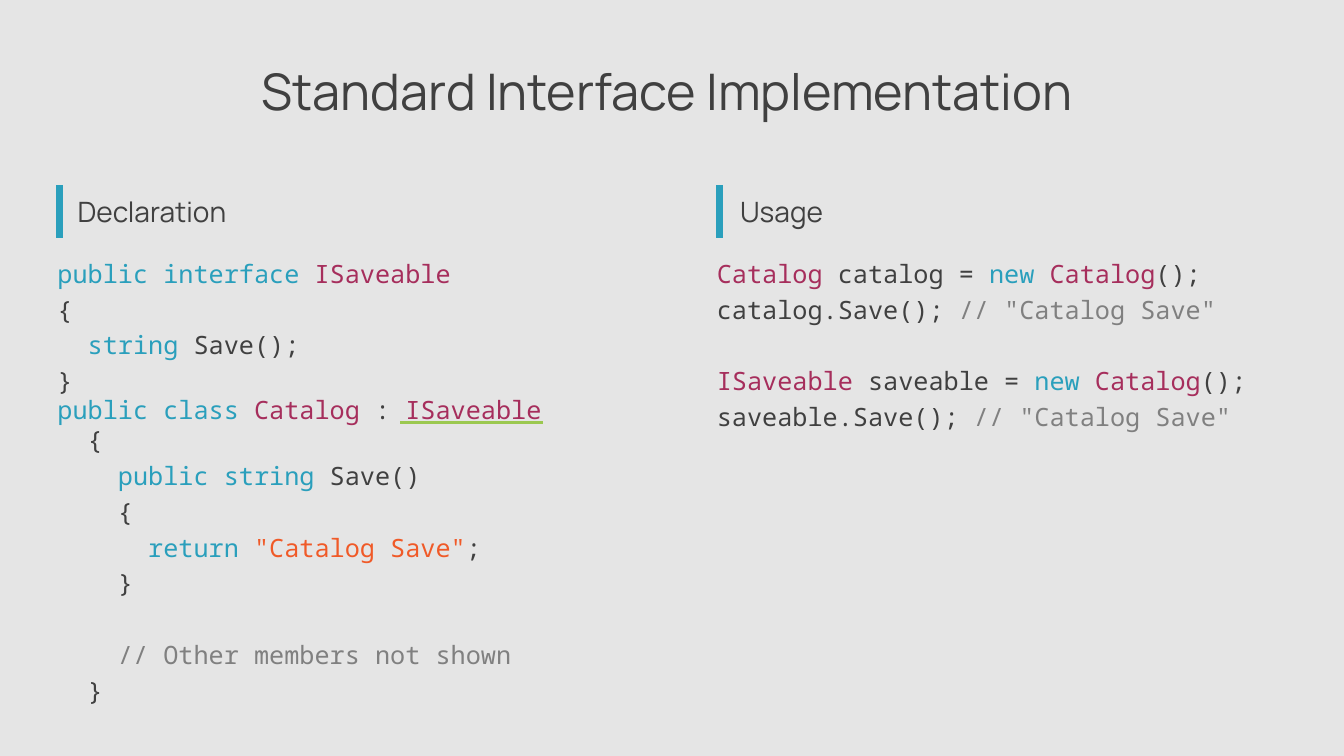
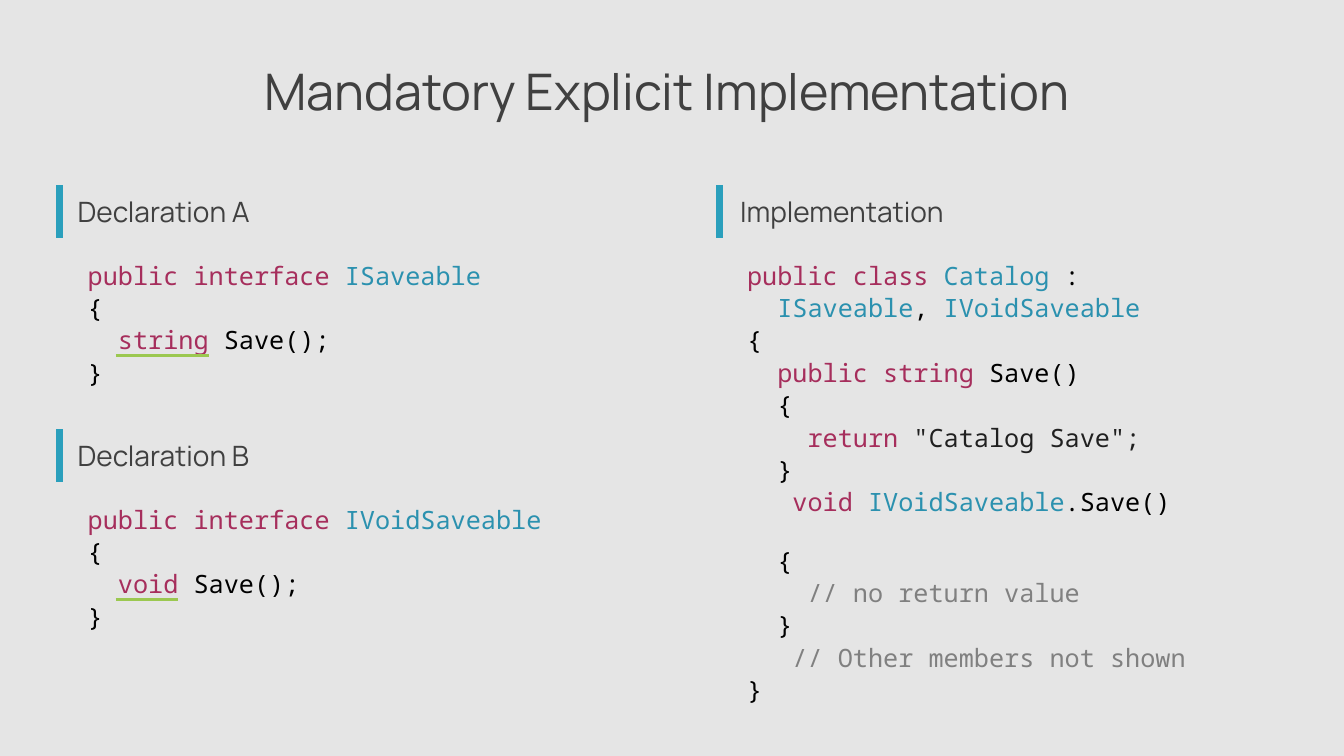
from dataclasses import dataclass

from lxml.etree import SubElement
from pptx import Presentation
from pptx.dml.color import RGBColor
from pptx.enum.shapes import MSO_CONNECTOR
from pptx.enum.text import MSO_ANCHOR, PP_ALIGN
from pptx.oxml.ns import qn
from pptx.util import Inches, Pt

HEADING_FONT, CODE_FONT = "Manrope", "Noto Sans Mono"
BACKGROUND, BLUE, GREEN = "E5E5E5", "2A9FBC", "9BC850"
TEAL, PLUM, ORANGE = "2B91AF", "A62E5C", "F05A28"
DARK, INK, GREY, BLACK = "404040", "202020", "808080", "000000"
CODE_SIZE = 18
CHAR = 0.15  # width of one code character, inches
BAR_HEIGHT = 0.52
CODE_DROP = 0.72  # from top of heading to top of code


@dataclass
class Column:
    """Left edges of the parts in a column, and its code width."""
    code: float
    label: float
    bar: float
    width: float


LEFT = Column(0.57, 0.57, 0.59, 5.98)
RIGHT = Column(7.11, 7.14, 7.14, 5.66)


@dataclass
class Line:
    """A line of code: indent in characters, runs, own space before in points."""
    indent: int
    runs: list
    before: float = None


def rgb(value):
    """Turn a hex string into a colour."""
    return RGBColor.from_string(value)


def add_text_box(s, x, y, w, h, insets=(0, 0, 0, 0), anchor=MSO_ANCHOR.TOP):
    """Add a wrapping text box and return its text frame."""
    tf = s.shapes.add_textbox(Inches(x), Inches(y), Inches(w), Inches(h)).text_frame
    tf.word_wrap = True
    tf.vertical_anchor = anchor
    tf.margin_left, tf.margin_top, tf.margin_right, tf.margin_bottom = map(Inches, insets)
    return tf


def add_run(p, text, font, size, color):
    """Add one styled run to a paragraph."""
    r = p.add_run()
    r.text = text
    r.font.name, r.font.size = font, Pt(size)
    r.font.color.rgb = rgb(color)


def add_line(s, x1, y1, x2, y2, color, width):
    """Draw a straight line without a shadow."""
    sp = s.shapes.add_connector(MSO_CONNECTOR.STRAIGHT, Inches(x1), Inches(y1),
                                Inches(x2), Inches(y2))
    sp.line.color.rgb = rgb(color)
    sp.line.width = Pt(width)
    SubElement(sp._element.spPr, qn("a:effectLst"))


def add_underline(s, x, y, w):
    """Mark a word in the code with a green line."""
    add_line(s, x, y, x + w, y, GREEN, 2)


def add_title(s, text):
    """Add the centred slide title."""
    p = add_text_box(s, 0.77, 0.64, 11.79, 0.48, (0, 0.05, 0.1, 0.05)).paragraphs[0]
    p.alignment = PP_ALIGN.CENTER
    p.line_spacing = 0.85
    add_run(p, text, HEADING_FONT, 36, DARK)


def add_heading(s, col, y, text):
    """Add a section heading with the blue bar at its left."""
    tf = add_text_box(s, col.label, y, 2.8, BAR_HEIGHT, (0.2,) * 4, MSO_ANCHOR.MIDDLE)
    p = tf.paragraphs[0]
    p.space_before = Pt(6)
    add_run(p, text, HEADING_FONT, 20, DARK)
    add_line(s, col.bar, y, col.bar, y + BAR_HEIGHT, BLUE, 5)


def add_code(s, col, y, h, lines, before=0, spacing=1.0):
    """Add a block of code, one paragraph per line."""
    tf = add_text_box(s, col.code, y, col.width, h)
    for i, line in enumerate(lines):
        p = tf.add_paragraph() if i else tf.paragraphs[0]
        p.space_before = Pt(before if line.before is None else line.before)
        p.line_spacing = spacing
        pPr = p._p.get_or_add_pPr()
        pPr.set("marL", str(Inches(line.indent * CHAR)))
        pPr.set("indent", "0")
        for text, color in line.runs:
            add_run(p, text, CODE_FONT, CODE_SIZE, color)


def interface_lines(name, result):
    """Return the code of an interface with one Save method."""
    return [
        Line(2, [("public interface ", PLUM), (name, TEAL)]),
        Line(2, [("{", BLACK)]),
        Line(4, [(result, PLUM), (" Save();", BLACK)]),
        Line(2, [("}", BLACK)]),
    ]


def add_interface(s, y, heading, name, result):
    """Add a declaration section with the return type underlined."""
    add_heading(s, LEFT, y, heading)
    top = y + CODE_DROP
    add_code(s, LEFT, top, 1.4, interface_lines(name, result), spacing=1.07)
    add_underline(s, LEFT.code + 4 * CHAR - 0.02, top + 0.97, len(result) * CHAR + 0.02)


def new_slide(prs, title):
    """Add a blank slide with its title."""
    s = prs.slides.add_slide(prs.slide_layouts[6])
    add_title(s, title)
    return s


def standard_slide(prs, y=1.84):
    """Build the slide on standard implementation."""
    s = new_slide(prs, "Standard Interface Implementation")
    top = y + CODE_DROP
    add_heading(s, LEFT, y, "Declaration")
    add_code(s, LEFT, top, 1.63, [
        Line(0, [("public interface ", BLUE), ("ISaveable", PLUM)]),
        Line(0, [("{", DARK)]),
        Line(2, [("string", BLUE), (" Save();", DARK)]),
        Line(0, [("}", DARK)]),
    ], before=4)
    add_code(s, LEFT, top + 1.35, 3.2, [
        Line(0, [("public class ", BLUE), ("Catalog", PLUM), (" : ", DARK),
                 ("ISaveable", PLUM)]),
        Line(2, [("{", DARK)], before=0),
        Line(4, [("public string", BLUE), (" Save()", DARK)]),
        Line(4, [("{", DARK)]),
        Line(6, [("return ", BLUE), ('"Catalog Save"', ORANGE), (";", DARK)]),
        Line(4, [("}", DARK)]),
        Line(4, [("// Other members not shown", GREY)], before=29.6),
        Line(2, [("}", DARK)]),
    ], before=4)
    add_underline(s, LEFT.code + 3.4, top + 1.63, 1.42)

    add_heading(s, RIGHT, y, "Usage")
    usage = []
    for kind, name, gap in (("Catalog", "catalog", None), ("ISaveable", "saveable", 29.6)):
        usage += [
            Line(0, [(kind + " ", PLUM), (name + " = ", DARK), ("new ", BLUE),
                     ("Catalog", PLUM), ("();", DARK)], before=gap),
            Line(0, [(name + ".Save(); ", DARK), ('// "Catalog Save"', GREY)]),
        ]
    add_code(s, RIGHT, top, 4.84, usage, before=4)


def explicit_slide(prs, y=1.84):
    """Build the slide on explicit implementation."""
    s = new_slide(prs, "Mandatory Explicit Implementation")
    add_interface(s, y, "Declaration A", "ISaveable", "string")
    add_interface(s, y + 2.42, "Declaration B", "IVoidSaveable", "void")
    add_heading(s, RIGHT, y, "Implementation")
    add_code(s, RIGHT, y + CODE_DROP, 4.57, [
        Line(2, [("public class ", PLUM), ("Catalog", TEAL), (" :", BLACK)]),
        Line(4, [("ISaveable", TEAL), (", ", BLACK), ("IVoidSaveable", TEAL)]),
        Line(2, [("{", BLACK)]),
        Line(4, [("public string", PLUM), (" Save()", BLACK)]),
        Line(4, [("{", BLACK)]),
        Line(6, [("return ", PLUM), ('"Catalog Save";', INK)]),
        Line(4, [("}", BLACK)]),
        Line(5, [("void ", PLUM), ("IVoidSaveable", TEAL), (".Save()", BLACK)]),
        Line(4, [("{", BLACK)], before=18.7),
        Line(6, [("// no return value", GREY)]),
        Line(4, [("}", BLACK)]),
        Line(5, [("// Other members not shown", GREY)]),
        Line(2, [("}", BLACK)]),
    ], spacing=1.07)


def main():
    """Build and save the presentation."""
    prs = Presentation()
    prs.slide_width, prs.slide_height = Inches(13.33), Inches(7.5)
    fill = prs.slide_master.background.fill
    fill.solid()
    fill.fore_color.rgb = rgb(BACKGROUND)
    standard_slide(prs)
    explicit_slide(prs)
    prs.save("out.pptx")


main()
